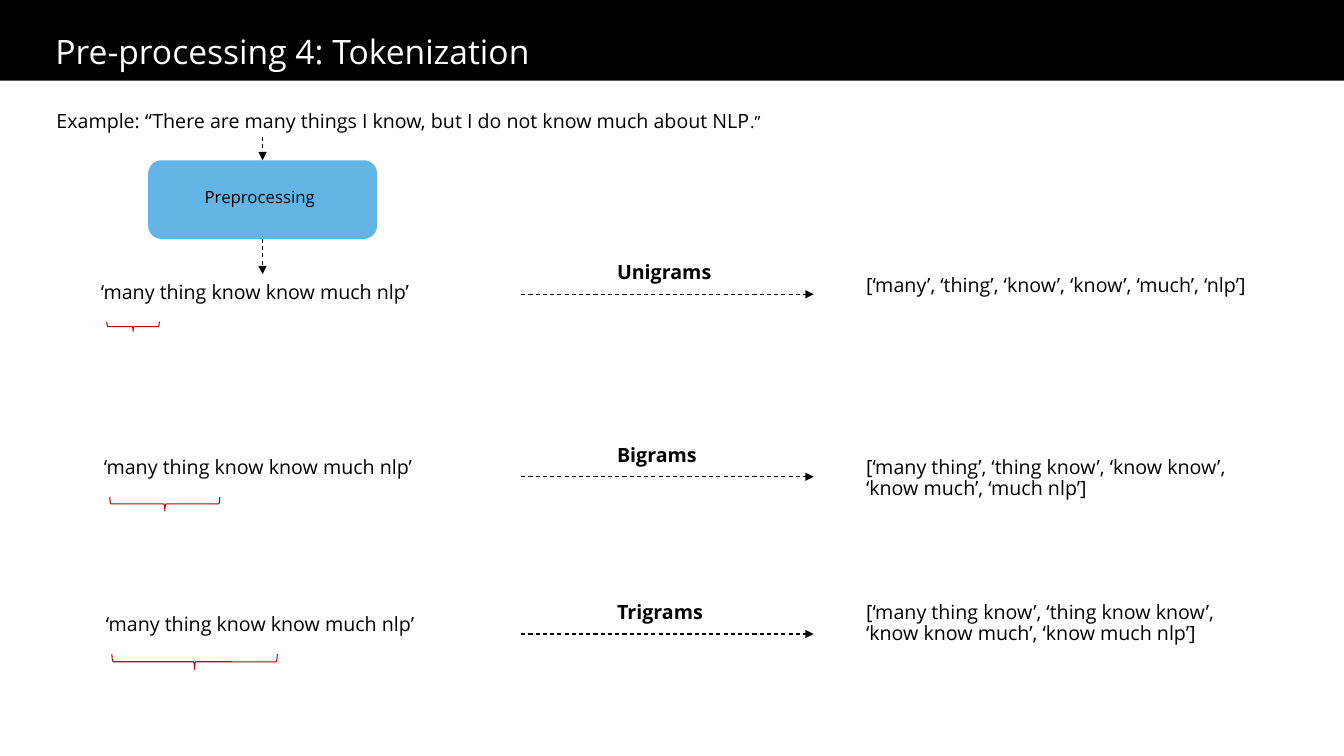
from lxml.etree import SubElement
from pptx import Presentation
from pptx.dml.color import RGBColor
from pptx.enum.dml import MSO_LINE
from pptx.enum.shapes import MSO_CONNECTOR, MSO_SHAPE
from pptx.enum.text import MSO_ANCHOR, PP_ALIGN
from pptx.oxml.ns import qn
from pptx.util import Inches, Pt

# Content
TITLE = "Pre-processing 4: Tokenization"
EXAMPLE = [("Example: “There are many things I know, but I do not know much about NLP", 14),
           (".”", 12)]
STEP = "Preprocessing"
CLEANED = "‘many thing know know much nlp’"
# name, tokens, label top, cleaned text (left, top), tokens top,
# brace (left, top, width, depth)
NGRAMS = [
    ("Unigrams", "[‘many’, ‘thing’, ‘know’, ‘know’, ‘much’, ‘nlp’]",
     2.61, (1.0, 2.8), 2.73, (1.06, 3.19, 0.52, 0.1)),
    ("Bigrams", "[‘many thing’, ‘thing know’, ‘know know’, ‘know much’, ‘much nlp’]",
     4.42, (1.03, 4.54), 4.54, (1.09, 4.93, 1.09, 0.14)),
    ("Trigrams", "[‘many thing know’, ‘thing know know’, ‘know know much’, ‘know much nlp’]",
     5.98, (1.05, 6.1), 5.98, (1.11, 6.49, 1.64, 0.15)),
]
FONT = "Open Sans"
COLORS = {"black": "000000", "white": "FFFFFF", "blue": "62B5E5", "red": "C00000"}
STEP_X, STEP_Y, STEP_W, STEP_H = 1.47, 1.59, 2.27, 0.78
ARROW_X1, ARROW_X2, ARROW_DROP = 5.17, 8.07, 0.31
LABEL_X, TOKENS_X = 6.12, 8.59


def color(name):
    return RGBColor.from_string(COLORS[name])


def write(tf, runs, ink="black", bold=False):
    tf.word_wrap = True
    tf.vertical_anchor = MSO_ANCHOR.TOP
    tf.margin_left = tf.margin_right = tf.margin_top = tf.margin_bottom = 0
    p = tf.paragraphs[0]
    p.alignment = PP_ALIGN.LEFT
    p.line_spacing = 0.9
    for text, size in runs:
        r = p.add_run()
        r.text = text
        r.font.name, r.font.size, r.font.bold = FONT, Pt(size), bold
        r.font.color.rgb = color(ink)


def add_text(s, x, y, w, h, runs, bold=False):
    box = s.shapes.add_textbox(Inches(x), Inches(y), Inches(w), Inches(h))
    write(box.text_frame, runs, bold=bold)


def add_box(s, kind, x, y, w, h, fill=None, line=None):
    sp = s.shapes.add_shape(kind, Inches(x), Inches(y), Inches(w), Inches(h))
    sp.shadow.inherit = False
    if fill:
        sp.fill.solid()
        sp.fill.fore_color.rgb = color(fill)
    else:
        sp.fill.background()
    if line:
        sp.line.color.rgb = color(line)
        sp.line.width = Pt(0.75)
    else:
        sp.line.fill.background()
    return sp


def add_brace(s, x, y, w, depth):
    # A right brace turned a quarter so that its tip points down
    sp = add_box(s, MSO_SHAPE.RIGHT_BRACE, x + (w - depth) / 2, y - (w - depth) / 2,
                 depth, w, line="red")
    sp.rotation = 90


def add_arrow(s, x1, y1, x2, y2):
    c = s.shapes.add_connector(MSO_CONNECTOR.STRAIGHT, Inches(x1), Inches(y1),
                               Inches(x2), Inches(y2))
    c.line.color.rgb = color("black")
    c.line.width = Pt(0.75)
    c.line.dash_style = MSO_LINE.DASH
    SubElement(c.line._get_or_add_ln(), qn("a:tailEnd"), type="triangle")
    SubElement(c._element.spPr, qn("a:effectLst"))


def main():
    prs = Presentation()
    prs.slide_width, prs.slide_height = Inches(13.33), Inches(7.5)
    s = prs.slides.add_slide(prs.slide_layouts[5])

    # Header band, placed behind the title
    band = add_box(s, MSO_SHAPE.RECTANGLE, 0, 0, 13.33, 0.8, fill="black")
    s.shapes._spTree.insert(2, band._element)
    title = s.shapes.title
    title.left, title.top = Inches(0.55), Inches(0.35)
    title.width, title.height = Inches(12.24), Inches(0.76)
    write(title.text_frame, [(TITLE, 24)], ink="white")

    # Example sentence and preprocessing step
    add_text(s, 0.56, 1.11, 10.63, 0.24, EXAMPLE)
    add_box(s, MSO_SHAPE.ROUNDED_RECTANGLE, STEP_X, STEP_Y, STEP_W, STEP_H, fill="blue")
    add_text(s, 2.03, 1.88, 1.31, 0.2, [(STEP, 12)])
    mid, bottom = STEP_X + STEP_W / 2, STEP_Y + STEP_H
    add_arrow(s, mid, 1.36, mid, STEP_Y)
    add_arrow(s, mid, bottom, mid, 2.72)

    # One row for each n-gram size
    for name, tokens, top, (x, y), tokens_y, brace in NGRAMS:
        add_text(s, x, y, 3.73, 0.24, [(CLEANED, 14)])
        add_brace(s, *brace)
        add_text(s, LABEL_X, top, 1.06, 0.24, [(name, 14)], bold=True)
        add_arrow(s, ARROW_X1, top + ARROW_DROP, ARROW_X2, top + ARROW_DROP)
        add_text(s, TOKENS_X, tokens_y, 3.84, 0.47, [(tokens, 14)])

    prs.save("out.pptx")


if __name__ == "__main__":
    main()
